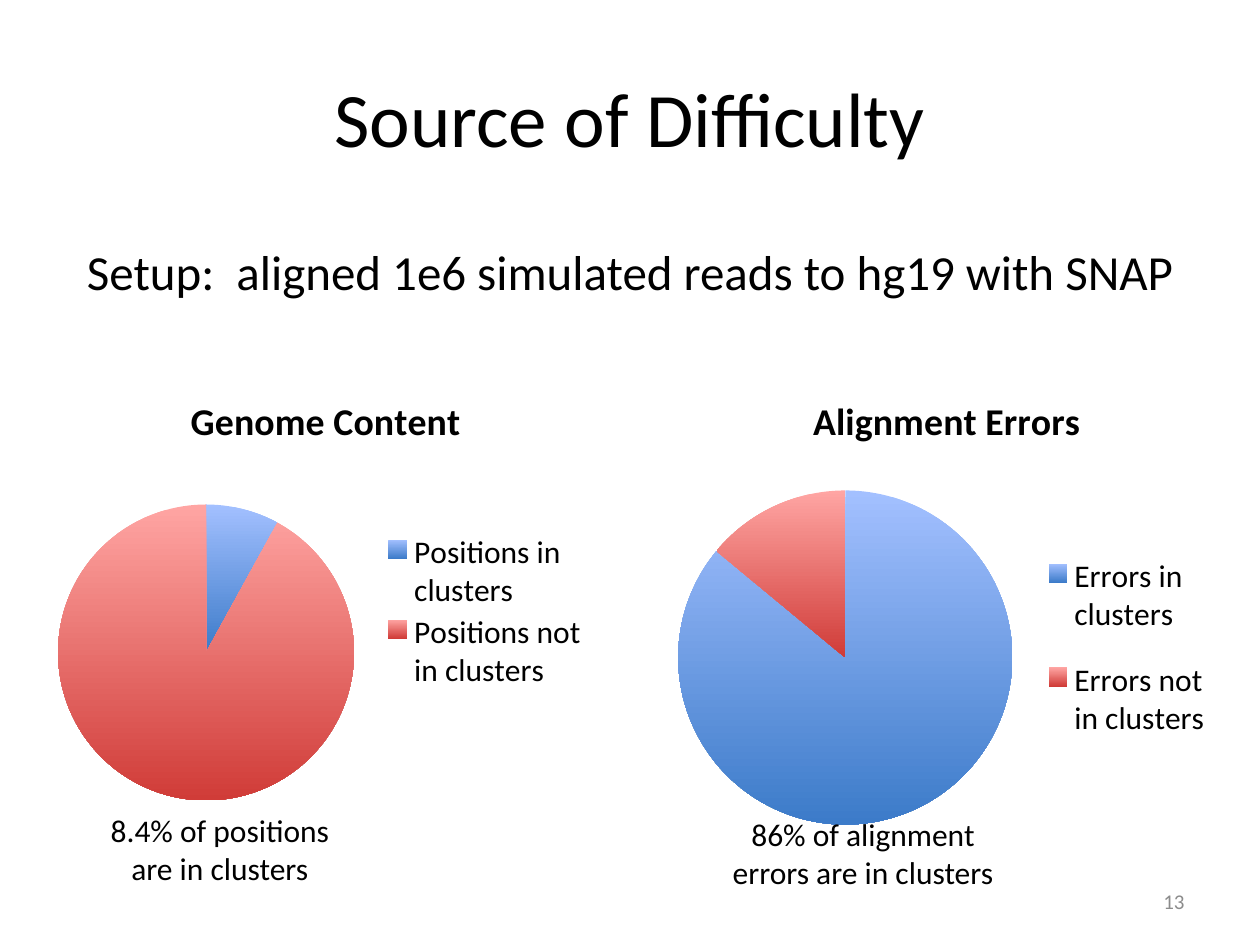
from dataclasses import dataclass

from lxml import etree
from pptx import Presentation
from pptx import util as u
from pptx.chart.data import CategoryChartData
from pptx.dml.color import RGBColor
from pptx.enum import chart as ch, text as t
from pptx.oxml.ns import qn

WIDTH, HEIGHT = 10, 7.5
FONT = "Calibri"
COLORS = {"ink": "000000", "number": "8C8C8C"}
# Top and bottom of each slice's gradient
SLICES = [("A3C0FF", "3C7BC9"), ("FFA5A3", "D03C38")]
CHART_TOP, CHART_WIDTH, CHART_HEIGHT = 2.83, 4.42, 4.05


@dataclass
class Label:
    words: str
    box: tuple[float, float, float, float]
    size: float
    align: t.PP_ALIGN = t.PP_ALIGN.CENTER
    anchor: t.MSO_ANCHOR = t.MSO_ANCHOR.TOP
    color: str = "ink"


@dataclass
class Pie:
    title: str
    noun: str
    left: float
    values: tuple[int, int]
    # Shares of the chart's size: x, y and, where set, width and height
    title_at: tuple[float, ...]
    plot_at: tuple[float, ...]
    legend_at: tuple[float, ...]


LABELS = [
    Label("Source of Difficulty", (0.5, 0.3, 9, 1.25), 44, anchor=t.MSO_ANCHOR.MIDDLE),
    Label("Setup:  aligned 1e6 simulated reads to hg19 with SNAP", (0.5, 1.87, 9, 0.57), 28),
    Label("8.4% of positions are in clusters", (0.69, 6.39, 2.11, 0.71), 18),
    Label("86% of alignment errors are in clusters", (5.66, 6.42, 2.38, 0.71), 18),
    Label("13", (7.17, 6.95, 2.33, 0.4), 12, t.PP_ALIGN.RIGHT, t.MSO_ANCHOR.MIDDLE, "number"),
]
PIES = [
    Pie("Genome Content", "Positions", 0.31, (8, 92),
        (0.26, 0.06), (0.03, 0.29, 0.54, 0.58), (0.6, 0.34, 0.4, 0.32)),
    Pie("Alignment Errors", "Errors", 5.25, (86, 14),
        (0.26, 0.06), (0.03, 0.26, 0.6, 0.66), (0.67, 0.34, 0.33, 0.46)),
]


def style(font, size: float, color: str = "ink", bold: bool = False) -> None:
    font.name, font.size, font.bold = FONT, u.Pt(size), bold
    font.color.rgb = RGBColor.from_string(COLORS[color])


def add_label(slide, label: Label) -> None:
    frame = slide.shapes.add_textbox(*map(u.Inches, label.box)).text_frame
    frame.word_wrap = True
    frame.vertical_anchor = label.anchor
    frame.text = label.words
    paragraph = frame.paragraphs[0]
    paragraph.alignment = label.align
    style(paragraph.runs[0].font, label.size, label.color)


def place(chart, part: str, shares: tuple[float, ...], after: str = "") -> None:
    """Give a chart part a manual layout, following its child named in after."""
    owner = chart.element.find(f".//{qn(part)}")
    for old in owner.findall(qn("c:layout")):
        owner.remove(old)
    layout = etree.Element(qn("c:layout"))
    manual = etree.SubElement(layout, qn("c:manualLayout"))
    if part == "c:plotArea":
        etree.SubElement(manual, qn("c:layoutTarget")).set("val", "inner")
    for mode in ("xMode", "yMode"):
        etree.SubElement(manual, qn(f"c:{mode}")).set("val", "edge")
    for key, share in zip("xywh", shares):
        etree.SubElement(manual, qn(f"c:{key}")).set("val", str(share))
    if after:
        owner.find(qn(after)).addnext(layout)
    else:
        owner.insert(0, layout)


def add_pie(slide, pie: Pie) -> None:
    data = CategoryChartData()
    data.categories = [f"{pie.noun} in clusters", f"{pie.noun} not in clusters"]
    data.add_series(pie.title, pie.values)
    box = map(u.Inches, (pie.left, CHART_TOP, CHART_WIDTH, CHART_HEIGHT))
    chart = slide.shapes.add_chart(ch.XL_CHART_TYPE.PIE, *box, data).chart
    style(chart.font, 18)
    plot = chart.plots[0]
    plot.vary_by_categories = True

    # Slices shade downwards
    for index, shades in enumerate(SLICES):
        look = plot.series[0].points[index].format
        look.line.fill.background()
        look.fill.gradient()
        look.fill.gradient_angle = 270
        for stop, shade in zip(look.fill.gradient_stops, shades):
            stop.color.rgb = RGBColor.from_string(shade)

    # Title and legend
    chart.has_title = True
    heading = chart.chart_title.text_frame
    heading.text = pie.title
    style(heading.paragraphs[0].runs[0].font, 21.6, bold=True)
    chart.has_legend = True
    chart.legend.position = ch.XL_LEGEND_POSITION.RIGHT
    chart.legend.include_in_layout = False
    style(chart.legend.font, 18)

    place(chart, "c:title", pie.title_at, "c:tx")
    place(chart, "c:plotArea", pie.plot_at)
    place(chart, "c:legend", pie.legend_at, "c:legendPos")


def main() -> None:
    deck = Presentation()
    deck.slide_width, deck.slide_height = u.Inches(WIDTH), u.Inches(HEIGHT)
    slide = deck.slides.add_slide(deck.slide_layouts[6])
    for pie in PIES:
        add_pie(slide, pie)
    for label in LABELS:
        add_label(slide, label)
    deck.save("out.pptx")


if __name__ == "__main__":
    main()
